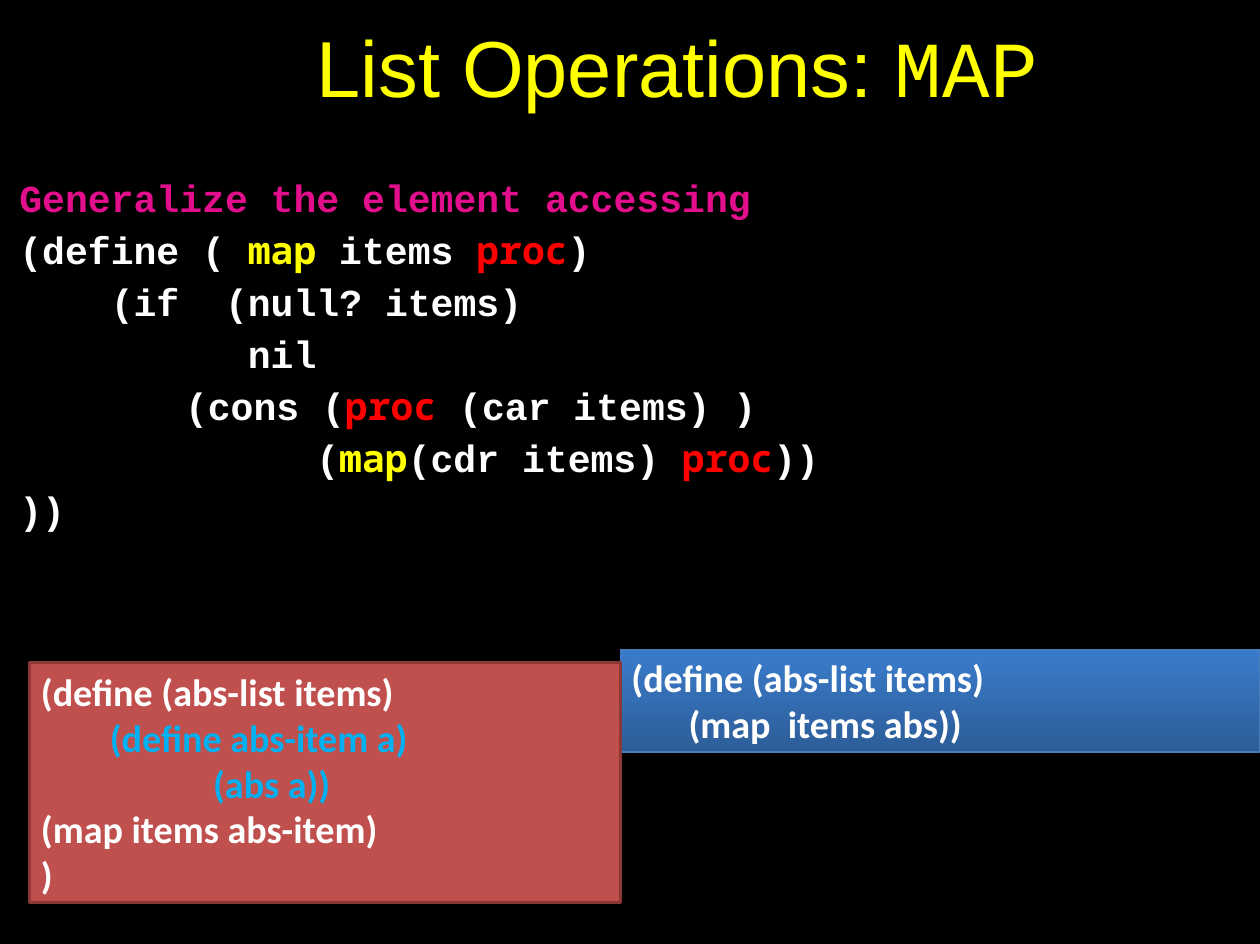
from pptx import Presentation
from pptx.dml.color import RGBColor
from pptx.enum.shapes import MSO_SHAPE
from pptx.enum.text import MSO_ANCHOR, PP_ALIGN
from pptx.util import Inches, Pt

WIDTH, HEIGHT = Inches(11.03), Inches(8.26)
WHITE, YELLOW, RED, PINK, SKY = "FFFFFF", "FFFF00", "FF0000", "E20E8C", "00B0F0"
CODE, MONO = "Courier New", "Noto Sans Mono"

# Each line of the main code: line spacing, space before, spans of (text, colour)
MAP_CODE = [
    (1.11, 0, [("Generalize the element accessing", PINK)]),
    (1.11, 1, [("(define ( ", WHITE), ("map ", YELLOW), ("items ", WHITE),
               ("proc", RED), (")", WHITE)]),
    (1.11, 1, [("    (if  (null? items)", WHITE)]),
    (1, 3.7, [("          nil", WHITE)]),
    (1, 4.1, [("\t      (cons (", WHITE), ("proc ", RED), ("(car items) )", WHITE)]),
    (1, 4, [("             (", WHITE), ("map", YELLOW), ("(cdr items) ", WHITE),
            ("proc", RED), ("))", WHITE)]),
    (1, 3.7, [("))", WHITE)]),
]
SHORT_CODE = [("(define (abs-list items)", WHITE), ("\t(map  items abs))", WHITE)]
LONG_CODE = [
    ("(define (abs-list items)", WHITE),
    ("        (define abs-item a)", SKY),
    ("                    (abs a))", SKY),
    ("(map items abs-item)", WHITE),
    (")", WHITE),
]


def color(value):
    return RGBColor.from_string(value)


def place(left, top, width, height):
    """Turn percentages of the slide into a box."""
    return (round(WIDTH * left / 100), round(HEIGHT * top / 100),
            round(WIDTH * width / 100), round(HEIGHT * height / 100))


def add_span(para, text, font, size, ink, bold=False):
    span = para.add_run()
    span.text = text
    span.font.name = font
    span.font.size = Pt(size)
    span.font.bold = bold
    span.font.color.rgb = color(ink)


def paragraphs(frame, lines):
    """Yield a paragraph for every line, starting with the existing one."""
    for index, line in enumerate(lines):
        yield (frame.add_paragraph() if index else frame.paragraphs[0]), line


def prepare(frame, side, top):
    frame.word_wrap = True
    frame.vertical_anchor = MSO_ANCHOR.TOP
    frame.margin_left = frame.margin_right = Inches(side)
    frame.margin_top = Inches(top)


def add_title(slide, box):
    frame = slide.shapes.add_textbox(*box).text_frame
    prepare(frame, 0, 0.01)
    para = frame.paragraphs[0]
    para.alignment = PP_ALIGN.CENTER
    add_span(para, "List Operations: ", "Arial", 50, YELLOW)
    add_span(para, "MAP", CODE, 50, YELLOW)


def add_map_code(slide, box):
    frame = slide.shapes.add_textbox(*box).text_frame
    prepare(frame, 0, 0.01)
    for para, (spacing, before, spans) in paragraphs(frame, MAP_CODE):
        properties = para._p.get_or_add_pPr()
        properties.set("marL", str(Inches(0.26)))
        properties.set("indent", str(-Inches(0.25)))
        para.line_spacing = spacing
        if before:
            para.space_before = Pt(before)
        for text, ink in spans:
            font = MONO if ink in (YELLOW, RED) else CODE
            add_span(para, text, font, 24, ink, bold=True)


def add_panel(slide, box, lines, fills, edge, weight):
    panel = slide.shapes.add_shape(MSO_SHAPE.RECTANGLE, *box)
    panel.shadow.inherit = False
    if len(fills) == 1:
        panel.fill.solid()
        panel.fill.fore_color.rgb = color(fills[0])
    else:
        panel.fill.gradient()
        panel.fill.gradient_angle = 90
        for stop, value in zip(panel.fill.gradient_stops, fills):
            stop.color.rgb = color(value)
    panel.line.color.rgb = color(edge)
    panel.line.width = Pt(weight)
    prepare(panel.text_frame, 0.1, 0.05)
    for para, (text, ink) in paragraphs(panel.text_frame, lines):
        para.alignment = PP_ALIGN.LEFT
        add_span(para, text, "Calibri", 24, ink, bold=True)


def main():
    deck = Presentation()
    deck.slide_width, deck.slide_height = WIDTH, HEIGHT
    slide = deck.slides.add_slide(deck.slide_layouts[6])
    slide.background.fill.solid()
    slide.background.fill.fore_color.rgb = color("000000")

    # Title and the general map procedure
    add_title(slide, place(11.79, 1.82, 83.95, 10.41))
    add_map_code(slide, place(1.45, 17.8, 88.67, 38.62))

    # Two ways to use map
    add_panel(slide, place(49.23, 68.77, 50.77, 10.9), SHORT_CODE,
              ["2C5D98", "3A7CCB"], "4A7EBB", 0.75)
    add_panel(slide, place(2.36, 70.22, 46.87, 25.42), LONG_CODE,
              ["C0504D"], "8C3836", 2)
    deck.save("out.pptx")


if __name__ == "__main__":
    main()
